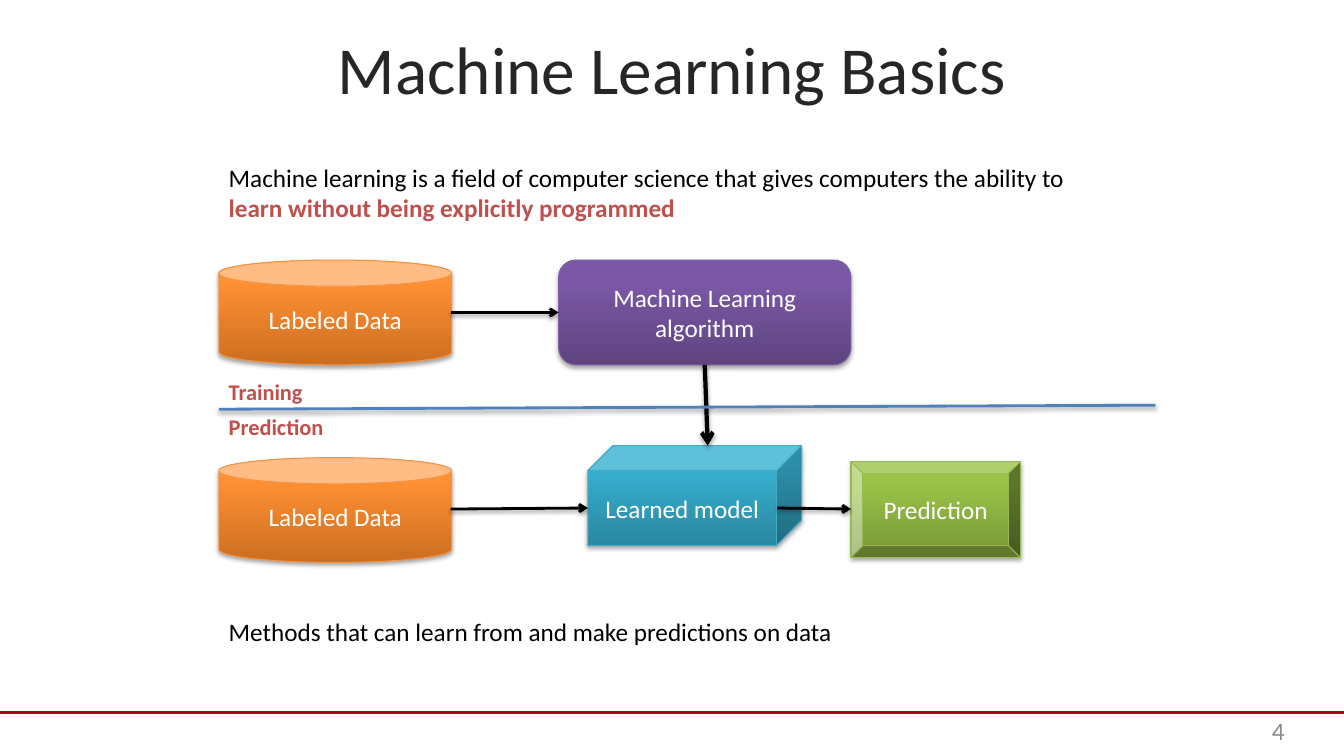
from lxml.etree import SubElement
from pptx import Presentation
from pptx.dml.color import RGBColor
from pptx.enum.shapes import MSO_CONNECTOR, MSO_SHAPE
from pptx.enum.text import MSO_ANCHOR, PP_ALIGN
from pptx.oxml.ns import qn
from pptx.util import Inches, Pt

BLACK = RGBColor(0x00, 0x00, 0x00)
WHITE = RGBColor(0xFF, 0xFF, 0xFF)
CHARCOAL = RGBColor(0x26, 0x26, 0x26)
GRAY = RGBColor(0x8C, 0x8C, 0x8C)
BRICK = RGBColor(0xC0, 0x50, 0x4D)
CRIMSON = RGBColor(0xB4, 0x01, 0x14)
BLUE = RGBColor(0x4F, 0x81, 0xBD)
ORANGE = (RGBColor(0xCC, 0x6E, 0x20), RGBColor(0xFF, 0x90, 0x34), RGBColor(0xF6, 0x92, 0x40))
PURPLE = (RGBColor(0x5F, 0x44, 0x80), RGBColor(0x7B, 0x58, 0xA6), RGBColor(0x7D, 0x60, 0xA0))
TEAL = (RGBColor(0x2A, 0x88, 0xA2), RGBColor(0x37, 0xB1, 0xD2), RGBColor(0x46, 0xAA, 0xC5))
GREEN = (RGBColor(0x77, 0x97, 0x37), RGBColor(0x9B, 0xC3, 0x48), RGBColor(0x98, 0xB9, 0x55))


def write(paragraph, text, size, color, bold=False):
    run = paragraph.add_run()
    run.text = text
    run.font.name = "Calibri"
    run.font.size = Pt(size)
    run.font.bold = bold
    run.font.color.rgb = color


def set_shadow(drawn, opacity):
    effects = SubElement(drawn._element.spPr, qn("a:effectLst"))
    if opacity:
        outer = SubElement(effects, qn("a:outerShdw"), blurRad="40000", dist="22000",
                           dir="5400000", rotWithShape="0")
        black = SubElement(outer, qn("a:srgbClr"), val="000000")
        SubElement(black, qn("a:alpha"), val=str(opacity * 1000))


presentation = Presentation()
presentation.slide_width = Inches(13.33)
presentation.slide_height = Inches(7.5)
slide = presentation.slides.add_slide(presentation.slide_layouts[5])
shapes = slide.shapes

title = shapes.title
title.left, title.top = Inches(2.27), Inches(0.2)
title.width, title.height = Inches(8.79), Inches(0.94)
title.text_frame.vertical_anchor = MSO_ANCHOR.MIDDLE
title.text_frame.paragraphs[0].alignment = PP_ALIGN.CENTER
write(title.text_frame.paragraphs[0], "Machine Learning Basics", 48, CHARCOAL)

stages = [
    ("Labeled Data", MSO_SHAPE.CAN, 2.17, 2.58, 2.31, 1.04, ORANGE),
    ("Labeled Data", MSO_SHAPE.CAN, 2.17, 4.54, 2.31, 1.04, ORANGE),
    ("Machine Learning algorithm", MSO_SHAPE.ROUNDED_RECTANGLE, 5.54, 2.58, 2.9, 1.04, PURPLE),
    ("Learned model", MSO_SHAPE.CUBE, 5.83, 4.42, 2.12, 0.99, TEAL),
    ("Prediction", MSO_SHAPE.BEVEL, 8.44, 4.58, 1.68, 0.95, GREEN),
]
drawn_stages = {}
for label, outline, left, top, width, height, (dark, light, edge) in stages:
    stage = shapes.add_shape(outline, Inches(left), Inches(top), Inches(width), Inches(height))
    stage.fill.gradient()
    stage.fill.gradient_angle = 90
    for stop, position, color in zip(stage.fill.gradient_stops, (0, 0.8), (dark, light)):
        stop.position = position
        stop.color.rgb = color
    stage.line.color.rgb = edge
    stage.line.width = Pt(0.75)
    set_shadow(stage, 35)
    stage.text_frame.word_wrap = True
    stage.text_frame.vertical_anchor = MSO_ANCHOR.MIDDLE
    stage.text_frame.paragraphs[0].alignment = PP_ALIGN.CENTER
    write(stage.text_frame.paragraphs[0], label, 18, WHITE)
    drawn_stages[label] = stage
algorithm = drawn_stages["Machine Learning algorithm"]

links = [
    (4.47, 3.1, 5.54, 3.1, BLACK, 2, True, 38),
    (4.47, 5.05, 5.83, 5.04, BLACK, 2, True, 38),
    (7.71, 5.04, 8.44, 5.05, BLACK, 2, True, 38),
    (6.99, 3.62, 7.02, 4.42, BLACK, 3, True, 38),
    (2.17, 4.06, 11.46, 4.02, BLUE, 2, False, 38),
    (0, 7.07, 13.33, 7.07, CRIMSON, 2.25, False, 0),
]
drawn_links = []
for x1, y1, x2, y2, color, weight, arrow, opacity in links:
    link = shapes.add_connector(MSO_CONNECTOR.STRAIGHT, Inches(x1), Inches(y1), Inches(x2), Inches(y2))
    link.line.color.rgb = color
    link.line.width = Pt(weight)
    if arrow:
        SubElement(link.line._get_or_add_ln(), qn("a:tailEnd"), type="arrow")
    set_shadow(link, opacity)
    drawn_links.append(link)
drawn_links[0].end_connect(algorithm, 1)
drawn_links[3].begin_connect(algorithm, 2)

captions = [
    (1.56, 8.64, 0.71, True, 18, [
        ("Machine learning is a field of computer science that gives computers the ability to ", BLACK, False),
        ("learn without being explicitly programmed", BRICK, True)]),
    (6.07, 9.29, 0.4, True, 18, [
        ("Methods that can learn from and make predictions on data", BLACK, False)]),
    (3.7, 0.94, 0.37, False, 16, [("Training", BRICK, True)]),
    (4.05, 1.15, 0.37, False, 16, [("Prediction", BRICK, True)]),
]
for top, width, height, wraps, size, phrases in captions:
    caption = shapes.add_textbox(Inches(2.17), Inches(top), Inches(width), Inches(height))
    caption.text_frame.word_wrap = wraps
    for text, color, bold in phrases:
        write(caption.text_frame.paragraphs[0], text, size, color, bold)

page_number = shapes.add_textbox(Inches(9.67), Inches(7.1), Inches(3.07), Inches(0.38)).text_frame
page_number.word_wrap = True
page_number.margin_left = page_number.margin_right = 0
page_number.margin_top = page_number.margin_bottom = 0
page_number.paragraphs[0].alignment = PP_ALIGN.RIGHT
write(page_number.paragraphs[0], "4", 18, GRAY)

presentation.save("out.pptx")
